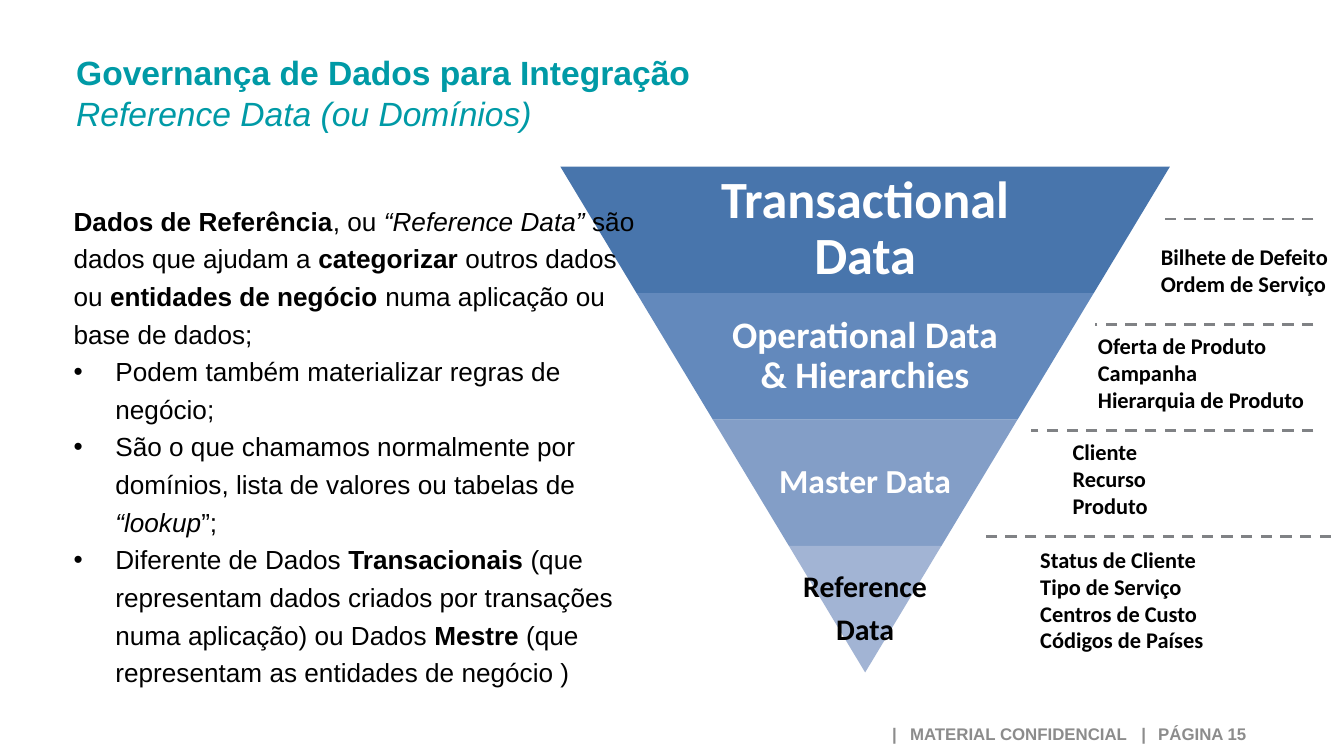
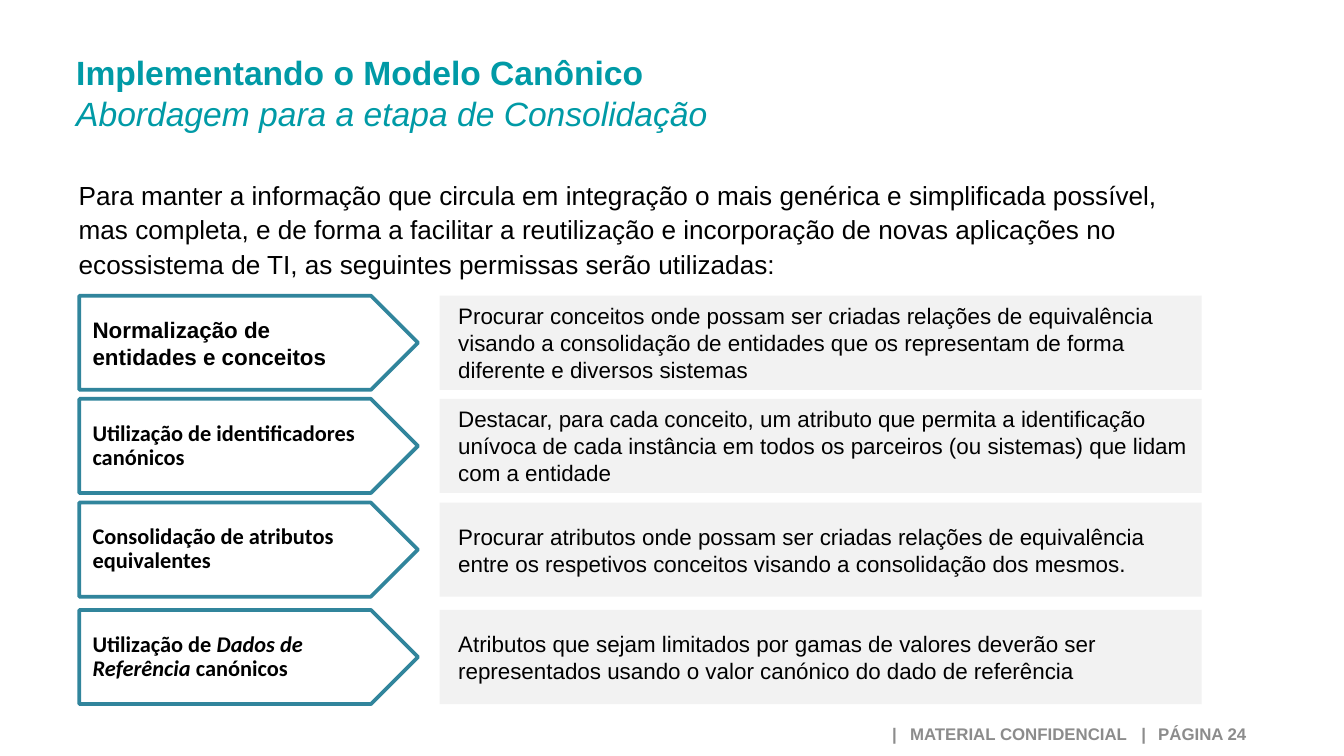
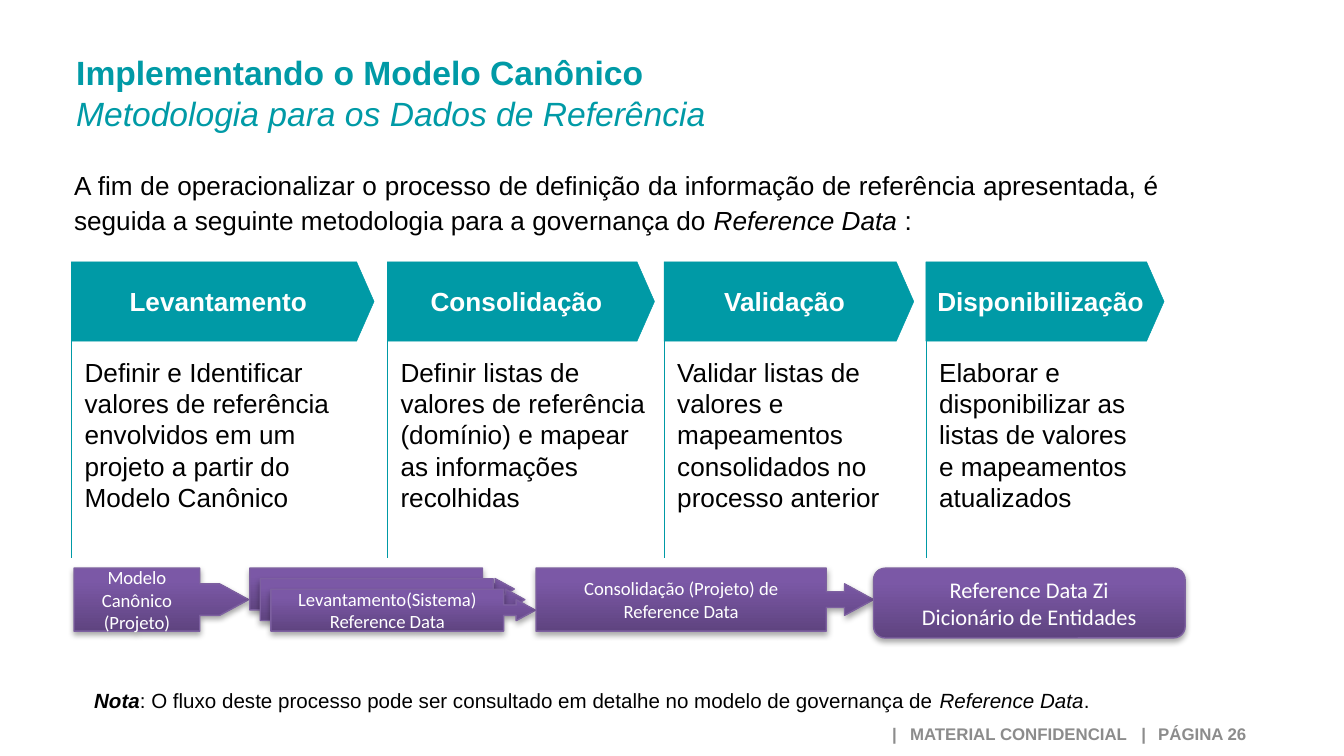
from copy import deepcopy
from dataclasses import dataclass
from typing import NamedTuple, Optional, Union

from lxml.etree import SubElement
from pptx import Presentation
from pptx.dml.color import RGBColor
from pptx.enum.dml import MSO_LINE
from pptx.enum.shapes import MSO_CONNECTOR, MSO_SHAPE as Preset
from pptx.enum.text import MSO_ANCHOR as Anchor, MSO_AUTO_SIZE, PP_ALIGN as Align
from pptx.oxml.ns import qn
from pptx.util import Cm, Pt

# Shared colours
TEAL, BLACK, WHITE = "009AA6", "000000", "FFFFFF"
FOOTER_GREY, DASH_GREY, PANEL_GREY = "8C8C8C", "808285", "F2F2F2"
ARROW_EDGE, PURPLE_EDGE = "31859C", "7D60A0"
PURPLE_STOPS = [(0, "5F4480"), (0.8, "7B58A6"), (1, "7C57A8")]

TITLE_ONLY, TITLE_AND_BODY = 5, 1


class Box(NamedTuple):
    left: float
    top: float
    width: float
    height: float

    def cm(self) -> list:
        return [Cm(length) for length in self]


class Span(NamedTuple):
    text: str
    bold: bool = False
    italic: bool = False


@dataclass(frozen=True)
class Style:
    size: float
    color: str = BLACK
    font: str = "Arial"
    bold: bool = False
    align: Align = Align.LEFT
    anchor: Anchor = Anchor.TOP
    spacing: float = 1.0
    after: float = 0
    margins: tuple = (0.25, 0.13)
    wrap: bool = True


Paragraph = Union[str, list]

TITLE = Style(18, TEAL)
FOOTER = Style(9, FOOTER_GREY, bold=True, anchor=Anchor.MIDDLE, spacing=0.8)
BODY = Style(14, spacing=1.2)
INTRO = Style(14, spacing=1.1)


# Helpers
def rgb(color: str) -> RGBColor:
    return RGBColor.from_string(color)


def write(frame, paragraphs: list[Paragraph], style: Style) -> None:
    frame.auto_size = MSO_AUTO_SIZE.NONE
    frame.word_wrap = style.wrap
    frame.vertical_anchor = style.anchor
    frame.margin_left = frame.margin_right = Cm(style.margins[0])
    frame.margin_top = frame.margin_bottom = Cm(style.margins[1])
    for index, content in enumerate(paragraphs):
        paragraph = frame.add_paragraph() if index else frame.paragraphs[0]
        spans = [Span(content, style.bold)] if isinstance(content, str) else content
        paragraph.text = spans[0].text
        for span in spans[1:]:
            paragraph.add_run().text = span.text
        paragraph.alignment = style.align
        paragraph.line_spacing = style.spacing
        paragraph.space_before = Pt(0)
        paragraph.space_after = Pt(style.after)
        for run, span in zip(paragraph.runs, spans):
            run.font.name, run.font.size = style.font, Pt(style.size)
            run.font.bold, run.font.italic = span.bold, span.italic
            run.font.color.rgb = rgb(style.color)


def add_text(slide, box: Box, paragraphs: list[Paragraph], style: Style):
    text_box = slide.shapes.add_textbox(*box.cm())
    write(text_box.text_frame, paragraphs, style)
    return text_box


def add_block(slide, preset: Preset, box: Box, fill: Optional[str] = None,
              edge: Optional[str] = None, edge_width: float = 1, adjust: tuple = ()):
    block = slide.shapes.add_shape(preset, *box.cm())
    block.shadow.inherit = False
    if fill:
        block.fill.solid()
        block.fill.fore_color.rgb = rgb(fill)
    else:
        block.fill.background()
    if edge:
        block.line.color.rgb = rgb(edge)
        block.line.width = Pt(edge_width)
    else:
        block.line.fill.background()
    for index, value in enumerate(adjust):
        block.adjustments[index] = value
    return block


def add_line(slide, start: tuple, end: tuple, color: str, width: float, dashed: bool = False) -> None:
    points = [Cm(length) for length in (*start, *end)]
    line = slide.shapes.add_connector(MSO_CONNECTOR.STRAIGHT, *points)
    line.line.color.rgb = rgb(color)
    line.line.width = Pt(width)
    if dashed:
        line.line.dash_style = MSO_LINE.DASH
    SubElement(line._element.spPr, qn("a:effectLst"))


def set_bullet(paragraph, bulleted: bool) -> None:
    properties = paragraph._p.get_or_add_pPr()
    indent = Cm(0.79) if bulleted else 0
    properties.set("marL", str(indent))
    properties.set("indent", str(-indent))
    if bulleted:
        SubElement(properties, qn("a:buChar")).set("char", "•")
    else:
        SubElement(properties, qn("a:buNone"))


def set_purple(block) -> None:
    """Gradient from dark at the bottom, with a soft shadow below."""
    properties = block._element.spPr
    block.fill.gradient()
    stops = properties.find(".//" + qn("a:gsLst"))
    stops.append(deepcopy(stops[-1]))
    for stop, (position, color) in zip(block.fill.gradient_stops, PURPLE_STOPS):
        stop.position = position
        stop.color.rgb = rgb(color)
    block.fill.gradient_angle = 90
    shadow = SubElement(properties.find(qn("a:effectLst")), qn("a:outerShdw"),
                        blurRad="40000", dist="23000", dir="5400000", rotWithShape="0")
    tint = SubElement(shadow, qn("a:srgbClr"), val=BLACK)
    SubElement(tint, qn("a:alpha"), val="35000")


def add_slide(deck, layout: int, heading: str, subtitle: str, page: int):
    slide = deck.slides.add_slide(deck.slide_layouts[layout])
    title = slide.shapes.title
    title.left, title.top, title.width, title.height = Box(1.19, 0.86, 18.8, 1.8).cm()
    write(title.text_frame, [[Span(heading, bold=True)], [Span(subtitle, italic=True)]], TITLE)

    # Footer, its parts set apart by tab stops
    footer = add_text(slide, Box(13.11, 13.54, 10.72, 0.74),
                      [f"|\tMATERIAL CONFIDENCIAL\t|\tPÁGINA {page}"], FOOTER)
    footer.text_frame.margin_left = Cm(3.75)
    tabs = SubElement(footer.text_frame.paragraphs[0]._p.get_or_add_pPr(), qn("a:tabLst"))
    for stop in (0.34, 4.71, 5.03):
        SubElement(tabs, qn("a:tab"), pos=str(Cm(stop)), algn="l")
    return slide


# Slide 1: reference data
class Tier(NamedTuple):
    lines: list
    size: float
    fill: str
    color: str = WHITE
    text_share: float = 0.65


class Examples(NamedTuple):
    rule_left: float
    rule_right: float
    box_left: float
    box_top: float
    box_width: float
    entries: list


TIERS = [
    Tier(["Transactional Data"], 28, "4875AC"),
    Tier(["Operational Data & Hierarchies"], 20, "6389BC"),
    Tier(["Master Data"], 18, "839EC7"),
    Tier(["Reference", "Data"], 16, "A2B4D4", BLACK, 1),
]
EXAMPLES = [
    Examples(21.87, 24.82, 21.69, 4.47, 3.71, ["Bilhete de Defeito", "Ordem de Serviço"]),
    Examples(20.7, 24.82, 20.5, 6.15, 4.9,
             ["Oferta de Produto", "Campanha", "Hierarquia de Produto"]),
    Examples(19.48, 24.82, 20.02, 8.15, 4.29, ["Cliente", "Recurso", "Produto"]),
    Examples(18.52, 25.15, 19.41, 10.19, 4.29,
             ["Status de Cliente", "Tipo de Serviço", "Centros de Custo", "Códigos de Países"]),
]
DEFINITION = [
    [Span("Dados de Referência", bold=True), Span(", ou "),
     Span("“Reference Data” ", italic=True), Span("são dados que ajudam a "),
     Span("categorizar", bold=True), Span(" outros dados ou "),
     Span("entidades de negócio ", bold=True), Span("numa aplicação ou base de dados;")],
    "Podem também materializar regras de negócio;",
    [Span("São o que chamamos normalmente por domínios, lista de valores ou tabelas de "),
     Span("“lookup", italic=True), Span("”;")],
    [Span("Diferente de Dados "), Span("Transacionais", bold=True),
     Span(" (que representam dados criados por transações numa aplicação) ou Dados "),
     Span("Mestre", bold=True), Span(" (que representam as entidades de negócio )")],
]


def build_reference_data(deck) -> None:
    slide = add_slide(deck, TITLE_AND_BODY, "Governança de Dados para Integração",
                      "Reference Data (ou Domínios)", 15)

    # Inverted pyramid
    center, top, step, height = 16.35, 3.15, 2.88, 2.39
    for index, tier in enumerate(TIERS):
        width = step * (len(TIERS) - index)
        tier_top = top + index * height
        band = add_block(slide, Preset.TRAPEZOID, Box(center - width / 2, tier_top, width, height),
                         tier.fill, adjust=(step / 2 / height,))
        band.rotation = 180
        text_width = width * tier.text_share
        add_text(slide, Box(center - text_width / 2, tier_top, text_width, height), tier.lines,
                 Style(tier.size, tier.color, "Calibri", True, Align.CENTER, Anchor.MIDDLE,
                       0.9, tier.size * 0.35, (0.08, 0.08)))

    # Definition, in front of the pyramid
    body = slide.placeholders[1]
    body.left, body.top, body.width, body.height = Box(1.14, 3.63, 11.33, 9.6).cm()
    write(body.text_frame, DEFINITION, BODY)
    for index, paragraph in enumerate(body.text_frame.paragraphs):
        set_bullet(paragraph, bulleted=index > 0)
    body._element.getparent().append(body._element)

    # Examples of each tier
    for index, group in enumerate(EXAMPLES):
        rule_y = 4.14 + 2 * index
        add_line(slide, (group.rule_right, rule_y), (group.rule_left, rule_y), DASH_GREY, 1.5, True)
        box_height = 0.25 + 0.52 * len(group.entries)
        add_text(slide, Box(group.box_left, group.box_top, group.box_width, box_height),
                 group.entries, Style(12, font="Calibri", bold=True))


# Slide 2: consolidation premises
class Premise(NamedTuple):
    top: float
    label: Paragraph
    detail: str
    style: Style


PREMISE_FIRST = Style(12, bold=True, anchor=Anchor.MIDDLE)
PREMISE_LABEL = Style(12, font="Calibri", bold=True, anchor=Anchor.MIDDLE, spacing=0.9)
PREMISE_DETAIL = Style(12, anchor=Anchor.MIDDLE, margins=(0.1, 0.1))
PREMISES = [
    Premise(5.59, "Normalização de entidades e conceitos",
            "Procurar conceitos onde possam ser criadas relações de equivalência visando a "
            "consolidação de entidades que os representam de forma diferente e diversos sistemas",
            PREMISE_FIRST),
    Premise(7.54, "Utilização de identificadores canónicos",
            "Destacar, para cada conceito, um atributo que permita a identificação unívoca de cada "
            "instância em todos os parceiros (ou sistemas) que lidam com a entidade",
            PREMISE_LABEL),
    Premise(9.5, "Consolidação de atributos equivalentes",
            "Procurar atributos onde possam ser criadas relações de equivalência entre os "
            "respetivos conceitos visando a consolidação dos mesmos.",
            PREMISE_LABEL),
    Premise(11.53, [Span("Utilização de ", True), Span("Dados de Referência", True, True),
                    Span(" canónicos", True)],
            "Atributos que sejam limitados por gamas de valores deverão ser representados usando "
            "o valor canónico do dado de referência",
            PREMISE_LABEL),
]


def build_consolidation(deck) -> None:
    slide = add_slide(deck, TITLE_ONLY, "Implementando o Modelo Canônico",
                      "Abordagem para a etapa de Consolidação", 24)
    intro = add_block(slide, Preset.ROUNDED_RECTANGLE, Box(1.19, 3.15, 21.31, 2.31), adjust=(0.07,))
    write(intro.text_frame, [
        "Para manter a informação que circula em integração o mais genérica e simplificada "
        "possível, mas completa, e de forma a facilitar a reutilização e incorporação de novas "
        "aplicações no ecossistema de TI, as seguintes permissas serão utilizadas:"], INTRO)

    for premise in PREMISES:
        arrow = add_block(slide, Preset.PENTAGON, Box(1.5, premise.top, 6.4, 1.78),
                          WHITE, ARROW_EDGE, 2)
        write(arrow.text_frame, [premise.label], premise.style)
        panel = add_block(slide, Preset.RECTANGLE, Box(8.31, premise.top, 14.4, 1.78), PANEL_GREY)
        write(panel.text_frame, [premise.detail], PREMISE_DETAIL)
        panel.text_frame.margin_left = Cm(0.35)


# Slide 3: methodology
class Phase(NamedTuple):
    left: float
    width: float
    text_width: float
    name: str
    task: str


class Step(NamedTuple):
    box: Box
    lines: list
    adjust: tuple = ()
    preset: Preset = Preset.RIGHT_ARROW_CALLOUT
    size: float = 10


PHASES = [
    Phase(1.35, 5.72, 5.31, "Levantamento",
          "Definir e Identificar valores de referência envolvidos em um projeto a partir do "
          "Modelo Canônico"),
    Phase(7.32, 5.05, 5.26, "Consolidação",
          "Definir listas de valores de referência (domínio) e mapear as informações recolhidas"),
    Phase(12.55, 4.72, 4.37, "Validação",
          "Validar listas de valores e mapeamentos consolidados no processo anterior"),
    Phase(17.5, 4.5, 4.32, "Disponibilização",
          "Elaborar e disponibilizar as listas de valores e mapeamentos atualizados"),
]
SURVEY_LINES = [[], [], ["Levantamento(Sistema) Reference Data"]]
STEPS = [
    Step(Box(1.4, 10.74, 3.3, 1.19), ["Modelo Canônico", "(Projeto)"], (0.5, 0.25, 0.46, 0.72)),
    *[Step(Box(4.72 + 0.2 * layer, 10.74 + 0.2 * layer, 5, 0.79), lines, (0.25, 0.25, 0.46, 0.88))
      for layer, lines in enumerate(SURVEY_LINES)],
    Step(Box(10.13, 10.74, 6.38, 1.19), ["Consolidação (Projeto) de Reference Data"],
         (0.25, 0.25, 0.46, 0.86)),
    Step(Box(16.51, 10.74, 5.89, 1.32), ["Reference Data Zi", "Dicionário de Entidades"],
         preset=Preset.ROUNDED_RECTANGLE, size=12),
]


def build_methodology(deck) -> None:
    slide = add_slide(deck, TITLE_ONLY, "Implementando o Modelo Canônico",
                      "Metodologia para os Dados de Referência", 26)
    add_text(slide, Box(1.4, 3.15, 20.52, 1.32), [[
        Span("A fim de operacionalizar o processo de definição da informação de referência "
             "apresentada, é seguida a seguinte metodologia para a governança do "),
        Span("Reference Data ", italic=True), Span(":")]],
        Style(14, align=Align.JUSTIFY, spacing=1.1, margins=(0, 0)))

    # Phases
    top, height = 4.95, 1.5
    for phase in PHASES:
        header = add_block(slide, Preset.PENTAGON, Box(phase.left, top, phase.width, height),
                           TEAL, TEAL, 0.25, (0.22,))
        write(header.text_frame, [phase.name],
              Style(14, WHITE, bold=True, align=Align.CENTER, anchor=Anchor.MIDDLE,
                    margins=(0, 0), wrap=False))
        add_text(slide, Box(phase.left, 6.6, phase.text_width, 3.86), [phase.task], Style(14))
        add_line(slide, (phase.left, top), (phase.left, 10.54), TEAL, 0.25)

    # Note
    add_text(slide, Box(1.78, 12.95, 20.04, 0.51), [[
        Span("Nota", True, True),
        Span(": O fluxo deste processo pode ser consultado em detalhe no modelo de governança de "),
        Span("Reference Data", italic=True), Span(".")]],
        Style(11, align=Align.JUSTIFY, spacing=1.1, margins=(0, 0)))

    # Flow
    for step in STEPS:
        block = add_block(slide, step.preset, step.box, edge=PURPLE_EDGE, edge_width=0.75,
                          adjust=step.adjust)
        set_purple(block)
        write(block.text_frame, step.lines,
              Style(step.size, WHITE, "Calibri", align=Align.CENTER, anchor=Anchor.MIDDLE))


def main() -> None:
    deck = Presentation()
    deck.slide_width, deck.slide_height = Cm(25.4), Cm(14.29)
    build_reference_data(deck)
    build_consolidation(deck)
    build_methodology(deck)
    deck.save("out.pptx")


if __name__ == "__main__":
    main()
